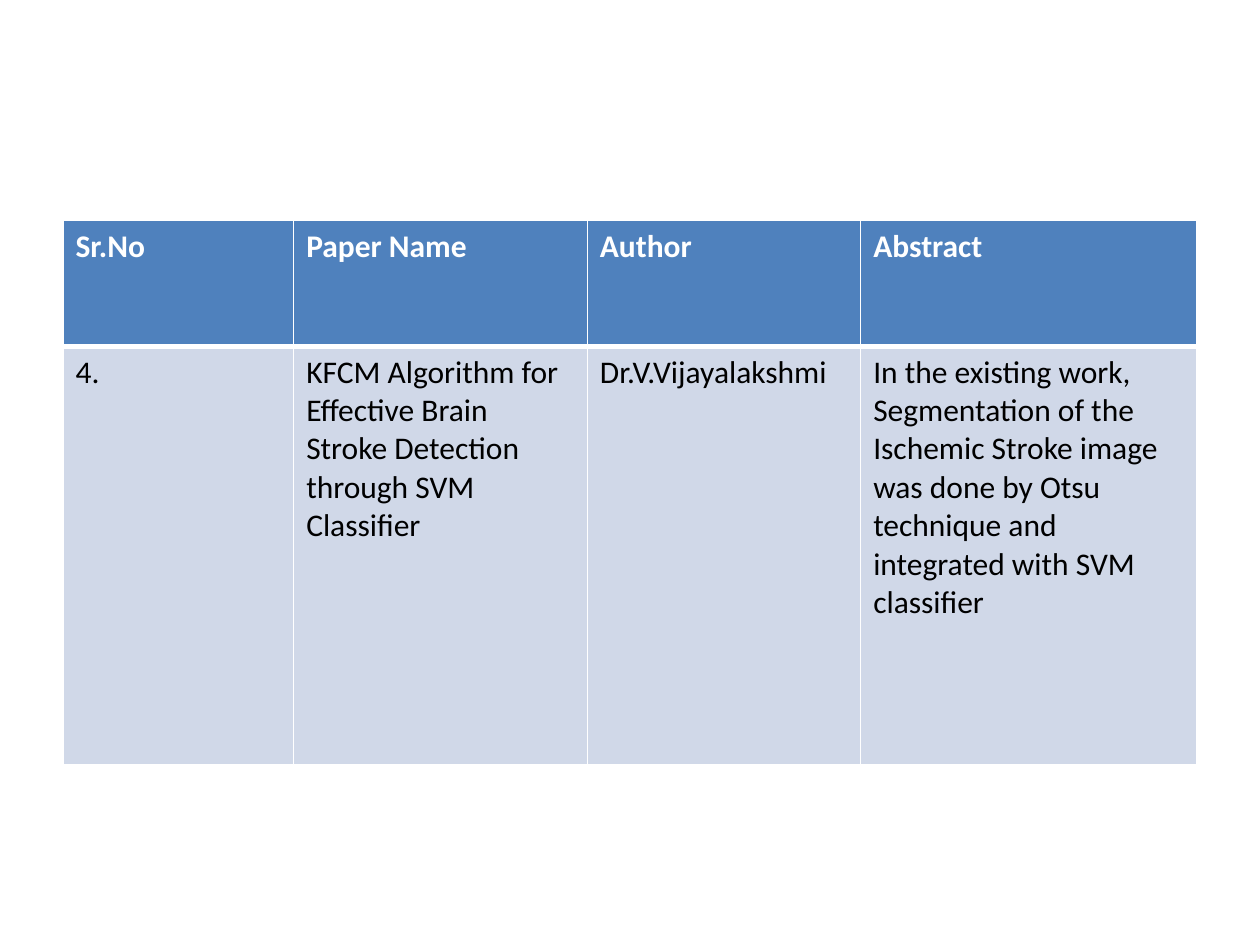
from dataclasses import dataclass

from lxml.etree import SubElement as Sub
from pptx import Presentation as Deck
from pptx.dml.color import RGBColor as Rgb
from pptx.oxml.ns import qn
from pptx.table import _Cell as Cell
from pptx.util import Cm, Pt

WHITE = "FFFFFF"
WIDTHS = (4.65, 5.92, 5.51, 6.78)


@dataclass
class Row:
    height: float
    fill: str
    ink: str
    bold: bool
    edges: dict[str, int]
    texts: tuple[str, ...]


ROWS = (
    Row(2.54, "4F81BD", WHITE, True, {"L": 1, "R": 1, "T": 1, "B": 3},
        ("Sr.No", "Paper Name", "Author", "Abstract")),
    Row(8.43, "D0D8E8", "000000", False, {"L": 1, "R": 1, "T": 3, "B": 1},
        ("4.",
         "KFCM Algorithm for Effective Brain Stroke Detection through SVM Classifier",
         "Dr.V.Vijayalakshmi",
         "In the existing work, Segmentation of the Ischemic Stroke image was done "
         "by Otsu technique and integrated with SVM classifier")),
)


def color(target, value: str) -> None:
    """Give a fill or a font a solid colour."""
    if hasattr(target, "solid"):
        target.solid()
        target.fore_color.rgb = Rgb.from_string(value)
    else:
        target.color.rgb = Rgb.from_string(value)


def border(cell: Cell, edges: dict[str, int]) -> None:
    props = cell._tc.get_or_add_tcPr()
    for side, width in edges.items():
        line = Sub(props, qn(f"a:ln{side}"), w=str(Pt(width)))
        Sub(Sub(line, qn("a:solidFill")), qn("a:srgbClr"), val=WHITE)


def draw_cell(cell: Cell, text: str, row: Row) -> None:
    border(cell, row.edges)
    color(cell.fill, row.fill)
    cell.text = text
    font = cell.text_frame.paragraphs[0].runs[0].font
    for name, value in {"name": "Calibri", "size": Pt(18), "bold": row.bold}.items():
        setattr(font, name, value)
    color(font, row.ink)


def main() -> None:
    deck = Deck()
    deck.slide_width, deck.slide_height = Cm(25.4), Cm(19.05)
    slide = deck.slides.add_slide(deck.slide_layouts[6])
    height = sum(row.height for row in ROWS)
    table = slide.shapes.add_table(
        len(ROWS), len(WIDTHS), Cm(1.27), Cm(4.45), Cm(sum(WIDTHS)), Cm(height)
    ).table
    for col, width in zip(table.columns, WIDTHS):
        col.width = Cm(width)
    for line, row in zip(table.rows, ROWS):
        line.height = Cm(row.height)
        for cell, text in zip(line.cells, row.texts):
            draw_cell(cell, text, row)
    deck.save("out.pptx")


if __name__ == "__main__":
    main()
